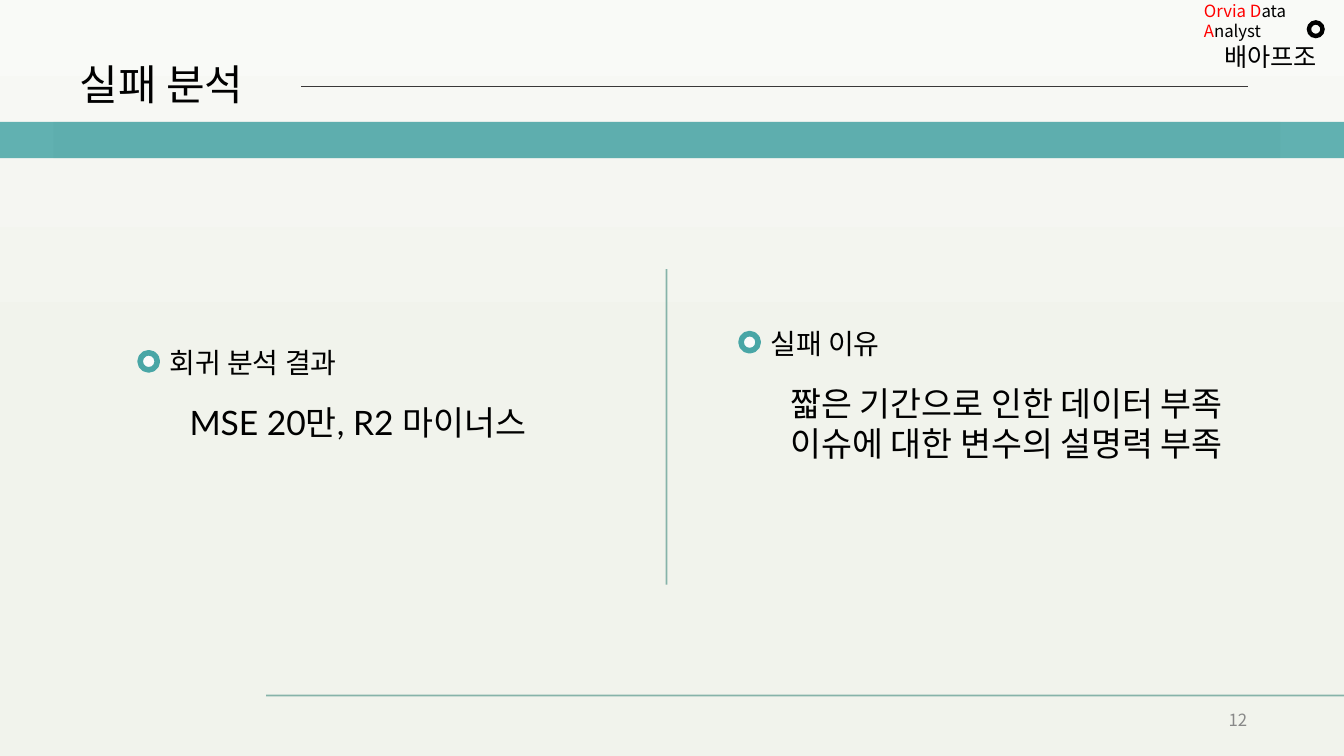
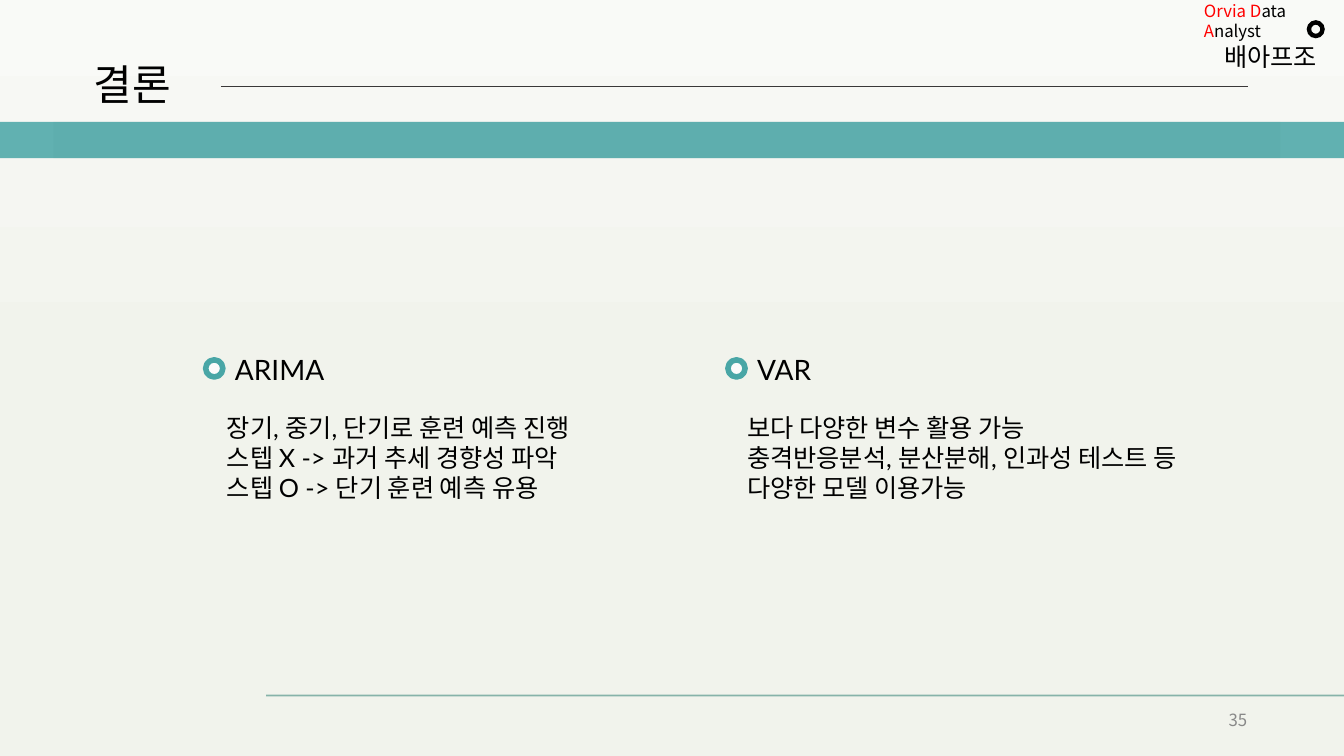
from dataclasses import dataclass

from lxml import etree
from pptx import Presentation
from pptx.dml.color import RGBColor
from pptx.enum.shapes import MSO_CONNECTOR, MSO_SHAPE
from pptx.enum.text import MSO_ANCHOR, PP_ALIGN
from pptx.oxml.ns import qn
from pptx.util import Inches, Pt


@dataclass(frozen=True)
class Theme:
    latin: str = "Lato"
    korean: str = "Noto Sans CJK KR"
    ink: str = "000000"
    accent: str = "FF0000"
    muted: str = "888888"
    dark: str = "3A3838"
    teal: str = "49A6A6"
    rule: str = "75A99E"
    light: str = "FBFBFB"
    background: tuple = ((0, "F9FAF7"), (50, "F1F3EC"), (100, "EFF2EA"))
    title: int = 30
    heading: int = 20
    body_large: int = 24
    body: int = 18
    small: int = 12


T = Theme()


def rgb(value):
    return RGBColor.from_string(value)


def set_alpha(sp, percent):
    for color in sp._element.spPr.iter(qn("a:srgbClr")):
        etree.SubElement(color, qn("a:alpha")).set("val", str(percent * 1000))


def set_background(master):
    fill = master.background.fill
    fill.gradient()
    fill.gradient_angle = 270
    stops = next(master.element.iter(qn("a:gsLst")))
    for stop in list(stops):
        stops.remove(stop)
    for position, value in T.background:
        stop = etree.SubElement(stops, qn("a:gs"), pos=str(position * 1000))
        etree.SubElement(stop, qn("a:srgbClr"), val=value)


def format_paragraph(p, size, color=T.ink, font=T.latin, align=PP_ALIGN.LEFT):
    p.alignment = align
    p.font.size = Pt(size)
    p.font.name = font
    p.font.color.rgb = rgb(color)
    latin = p.font._element.find(qn("a:latin"))
    latin.addnext(latin.makeelement(qn("a:ea"), {"typeface": T.korean}))


def format_frame(tf, anchor=MSO_ANCHOR.TOP):
    tf.word_wrap = True
    tf.vertical_anchor = anchor
    tf.margin_left = tf.margin_right = Inches(0.05)
    tf.margin_top = tf.margin_bottom = Inches(0.05)


def add_text(slide, lines, left, top, width, height, size,
             anchor=MSO_ANCHOR.TOP, **style):
    box = slide.shapes.add_textbox(
        Inches(left), Inches(top), Inches(width), Inches(height))
    tf = box.text_frame
    format_frame(tf, anchor)
    tf.text = "\n".join(lines)
    for p in tf.paragraphs:
        format_paragraph(p, size, **style)


def add_shape(slide, kind, left, top, width, height, fill, alpha=None):
    sp = slide.shapes.add_shape(
        kind, Inches(left), Inches(top), Inches(width), Inches(height))
    sp.shadow.inherit = False
    sp.fill.solid()
    sp.fill.fore_color.rgb = rgb(fill)
    sp.line.fill.background()
    if alpha is not None:
        set_alpha(sp, alpha)
    return sp


def add_line(slide, x1, y1, x2, y2, color, weight, alpha=None):
    line = slide.shapes.add_connector(
        MSO_CONNECTOR.STRAIGHT, Inches(x1), Inches(y1), Inches(x2), Inches(y2))
    line.line.color.rgb = rgb(color)
    line.line.width = Pt(weight)
    if alpha is not None:
        set_alpha(line, alpha)
    etree.SubElement(line._element.spPr, qn("a:effectLst"))


def add_team_label(slide):
    add_shape(slide, MSO_SHAPE.DONUT, 12.96, 0.2, 0.18, 0.18, T.ink)
    box = slide.shapes.add_textbox(
        Inches(11.89), Inches(-0.04), Inches(1.42), Inches(0.54))
    tf = box.text_frame
    format_frame(tf)
    p = tf.paragraphs[0]
    format_paragraph(p, T.small, font=T.korean)
    for text, color in (("Orvia D", T.accent), ("ata ", T.ink),
                        ("A", T.accent), ("nalyst", T.ink)):
        r = p.add_run()
        r.text = text
        r.font.color.rgb = rgb(color)
    p = tf.add_paragraph()
    p.text = "배아프조"
    format_paragraph(p, T.body, font=T.korean, align=PP_ALIGN.CENTER)


def add_title(slide, text, left, width):
    title = slide.shapes.title
    title.left, title.top = Inches(left), Inches(0.51)
    title.width, title.height = Inches(width), Inches(0.7)
    tf = title.text_frame
    format_frame(tf, MSO_ANCHOR.MIDDLE)
    tf.text = text
    p = tf.paragraphs[0]
    p.line_spacing = 0.9
    format_paragraph(p, T.title)


def add_base_slide(prs, title, title_left, title_width, rule_left, number):
    slide = prs.slides.add_slide(prs.slide_layouts[5])
    add_team_label(slide)
    add_shape(slide, MSO_SHAPE.RECTANGLE, 0.53, 1.21, 12.17, 0.36, T.dark, 11)
    add_shape(slide, MSO_SHAPE.RECTANGLE, -0.01, 1.21, 13.36, 0.36, T.teal, 86)
    add_line(slide, rule_left, 0.86, 12.38, 0.86, T.dark, 0.5)
    add_title(slide, title, title_left, title_width)
    add_line(slide, 2.64, 6.9, 13.33, 6.9, T.rule, 1.25, 85)
    add_text(slide, [str(number)], 11.92, 7, 0.5, 0.29, T.small,
             MSO_ANCHOR.MIDDLE, color=T.muted, font=T.korean,
             align=PP_ALIGN.RIGHT)
    return slide


def add_topic(slide, left, top, heading, lines, body_left, body_top,
              body_width, body_height, size):
    ring = add_shape(slide, MSO_SHAPE.OVAL, left, top, 0.17, 0.17, T.light)
    ring.line.color.rgb = rgb(T.teal)
    ring.line.width = Pt(4)
    add_text(slide, [heading], left + 0.24, top - 0.12, 2.27, 0.77, T.heading)
    add_text(slide, lines, body_left, body_top, body_width, body_height, size)


def add_failure_slide(prs):
    slide = add_base_slide(prs, "실패 분석", 0.74, 1.97, 2.99, 12)
    add_topic(slide, 1.39, 3.5, "회귀 분석 결과", ["MSE 20만, R2 마이너스"],
              1.83, 3.94, 3.81, 0.89, T.body_large)
    add_topic(slide, 7.35, 3.31, "실패 이유",
              ["짧은 기간으로 인한 데이터 부족", "이슈에 대한 변수의 설명력 부족"],
              7.79, 3.75, 4.71, 1.28, T.body_large)
    add_line(slide, 6.61, 2.67, 6.61, 5.8, T.rule, 1.25, 85)


def add_conclusion_slide(prs):
    slide = add_base_slide(prs, "결론", 0.88, 3.07, 2.19, 35)
    add_topic(slide, 2.04, 3.57, "ARIMA",
              ["장기, 중기, 단기로 훈련 예측 진행",
               "스텝 X -> 과거 추세 경향성 파악",
               "스텝 O -> 단기 훈련 예측 유용"],
              2.2, 4.04, 3.86, 0.97, T.body)
    add_topic(slide, 7.22, 3.57, "VAR",
              ["보다 다양한 변수 활용 가능",
               "충격반응분석, 분산분해, 인과성 테스트 등",
               "다양한 모델 이용가능"],
              7.36, 4.04, 4.68, 0.97, T.body)


def main():
    prs = Presentation()
    prs.slide_width, prs.slide_height = Inches(13.33), Inches(7.5)
    set_background(prs.slide_master)
    add_failure_slide(prs)
    add_conclusion_slide(prs)
    prs.save("out.pptx")


if __name__ == "__main__":
    main()
